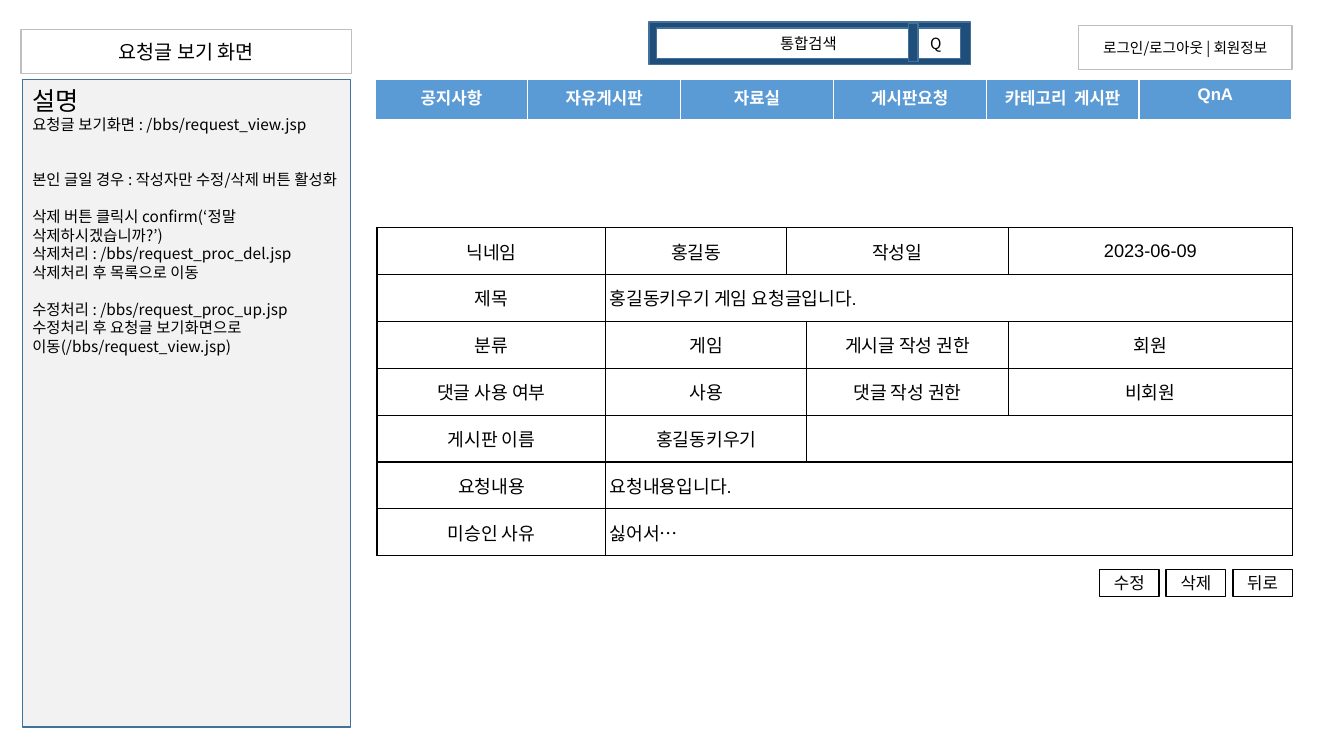
from lxml import etree
from pptx import Presentation
from pptx.dml.color import RGBColor
from pptx.enum.shapes import MSO_SHAPE
from pptx.enum.text import MSO_ANCHOR, MSO_AUTO_SIZE, PP_ALIGN
from pptx.oxml import parse_xml
from pptx.oxml.ns import nsdecls, qn
from pptx.util import Cm, Pt

THEME = {
    "white": "FFFFFF", "black": "000000", "gray": "BFBFBF", "panel": "F2F2F2",
    "navy": "1E4E79", "edge": "42719B", "nav": "5B9BD5",
    "sans": "Noto Sans CJK KR", "latin": "Arial",
    "heading": 18, "title": 14, "table": 13, "label": 12, "body": 11, "login": 10.5,
}


def write(paragraph, text, size, color="black", font="sans", align=PP_ALIGN.CENTER, bold=False):
    """Add one formatted run to a paragraph."""
    paragraph.alignment = align
    run = paragraph.add_run()
    run.text = text
    run.font.size = Pt(THEME[size])
    run.font.bold = bold
    run.font.color.rgb = RGBColor.from_string(THEME[color])
    run.font.name = THEME[font]
    east_asian = etree.SubElement(run.font._element, qn("a:ea"))
    east_asian.set("typeface", THEME["sans"])


def style(shape, fill, line):
    """Give a box its fill, its 1 pt outline and plain text settings."""
    shape.fill.solid()
    shape.fill.fore_color.rgb = RGBColor.from_string(THEME[fill])
    shape.line.color.rgb = RGBColor.from_string(THEME[line])
    shape.line.width = Pt(1)
    shape.shadow.inherit = False
    frame = shape.text_frame
    frame.word_wrap = True
    frame.auto_size = MSO_AUTO_SIZE.NONE
    frame.vertical_anchor = MSO_ANCHOR.MIDDLE


prs = Presentation()
prs.slide_width, prs.slide_height = Cm(33.87), Cm(19.05)
slide = prs.slides.add_slide(prs.slide_layouts[1])
shapes = slide.shapes

# Screen title and description panel
title, panel = slide.placeholders
title.left, title.top, title.width, title.height = Cm(0.53), Cm(0.74), Cm(8.33), Cm(1.12)
style(title, "white", "gray")
write(title.text_frame.paragraphs[0], "요청글 보기 화면", "title")

panel.left, panel.top, panel.width, panel.height = Cm(0.56), Cm(2.01), Cm(8.28), Cm(16.31)
style(panel, "panel", "edge")
panel.text_frame.vertical_anchor = MSO_ANCHOR.TOP
LINE_RATIO = 1.2
description = [  # text, size, lines of space before
    ("설명", "heading", 0),
    ("요청글 보기화면 : /bbs/request_view.jsp", "body", 0),
    ("본인 글일 경우 : 작성자만 수정/삭제 버튼 활성화", "body", 2),
    ("삭제 버튼 클릭시 confirm(‘정말 삭제하시겠습니까?’)", "body", 1),
    ("삭제처리 : /bbs/request_proc_del.jsp", "body", 0),
    ("삭제처리 후 목록으로 이동", "body", 0),
    ("수정처리 : /bbs/request_proc_up.jsp", "body", 1),
    ("수정처리 후 요청글 보기화면으로 이동(/bbs/request_view.jsp)", "body", 0),
]
for i, (text, size, gap) in enumerate(description):
    frame = panel.text_frame
    paragraph = frame.add_paragraph() if i else frame.paragraphs[0]
    write(paragraph, text, size, align=PP_ALIGN.LEFT)
    paragraph.line_spacing = Pt(THEME[size] * LINE_RATIO)
    paragraph.space_before = Pt(gap * THEME["body"] * LINE_RATIO)
    properties = paragraph._p.get_or_add_pPr()
    properties.set("marL", "0")
    properties.set("indent", "0")
    etree.SubElement(properties, qn("a:buNone"))

# Login box, search bar and buttons
search = shapes.add_group_shape().shapes
boxes = [  # container, left, top, width, height, fill, line, text, size
    (shapes, 27.18, 0.64, 5.38, 1.12, "white", "gray", "로그인/로그아웃 | 회원정보", "login"),
    (search, 16.36, 0.56, 8.1, 1.07, "navy", "edge", "", "body"),
    (search, 16.54, 0.71, 7.67, 0.76, "white", "edge", "통합검색", "body"),
    (search, 22.89, 0.58, 0.25, 0.97, "navy", "edge", "", "body"),
]
boxes += [(shapes, 27.71 + 1.68 * i, 14.35, 1.5, 0.69, "white", "black", text, "label")
          for i, text in enumerate(["수정", "삭제", "뒤로"])]
for container, left, top, width, height, fill, line, text, size in boxes:
    box = container.add_shape(MSO_SHAPE.RECTANGLE, Cm(left), Cm(top), Cm(width), Cm(height))
    style(box, fill, line)
    if text:
        write(box.text_frame.paragraphs[0], text, size)

search_icon = search.add_textbox(Cm(23.04), Cm(0.51), Cm(1.24), Cm(1.02)).text_frame
search_icon.word_wrap = True
search_icon.vertical_anchor = MSO_ANCHOR.MIDDLE
search_icon.margin_left, search_icon.margin_top = Cm(0.4), Cm(0.25)
write(search_icon.paragraphs[0], "Q", "body", align=PP_ALIGN.LEFT)

# Navigation and request tables
menu = ["공지사항", "자유게시판", "자료실", "게시판요청", "카테고리  게시판", "QnA"]
nav = shapes.add_table(1, len(menu), Cm(9.45), Cm(2.01), Cm(23.11), Cm(1.04)).table
for column, text in enumerate(menu):
    write(nav.cell(0, column).text_frame.paragraphs[0], text, "label", "white", "latin", bold=True)

request_rows = [  # each cell: text, columns spanned
    [("닉네임", 1), ("홍길동", 1), ("작성일", 2), ("2023-06-09", 1)],
    [("제목", 1), ("홍길동키우기 게임 요청글입니다.", 4)],
    [("분류", 1), ("게임", 2), ("게시글 작성 권한", 1), ("회원", 1)],
    [("댓글 사용 여부", 1), ("사용", 2), ("댓글 작성 권한", 1), ("비회원", 1)],
    [("게시판 이름", 1), ("홍길동키우기", 2), ("", 2)],
    [("요청내용", 1), ("요청내용입니다.", 4)],
    [("미승인 사유", 1), ("싫어서…", 4)],
]
column_widths = [5.77, 4.55, 0.51, 5.08, 7.16]
request = shapes.add_table(len(request_rows), len(column_widths), Cm(9.5), Cm(5.74),
                           Cm(sum(column_widths)), Cm(1.18 * len(request_rows))).table
for column, width in zip(request.columns, column_widths):
    column.width = Cm(width)
for row, cells in enumerate(request_rows):
    column = 0
    for text, span in cells:
        cell = request.cell(row, column)
        if span > 1:
            cell.merge(request.cell(row, column + span - 1))
        if text:
            align = PP_ALIGN.LEFT if span == 4 else PP_ALIGN.CENTER
            write(cell.text_frame.paragraphs[0], text, "table", font="latin", align=align)
        column += span

for table, border, bottom_width in [(nav, "white", 3), (request, "black", 1)]:
    table.first_row = table.horz_banding = False
    for cell in table.iter_cells():
        for side in ["L", "R", "T", "B"]:
            width = Pt(bottom_width if side == "B" else 1)
            cell._tc.get_or_add_tcPr().append(parse_xml(
                f'<a:ln{side} {nsdecls("a")} w="{width}"><a:solidFill>'
                f'<a:srgbClr val="{THEME[border]}"/></a:solidFill></a:ln{side}>'))
        if table is nav:
            cell.fill.solid()
            cell.fill.fore_color.rgb = RGBColor.from_string(THEME["nav"])
        else:
            cell.fill.background()
            cell.vertical_anchor = MSO_ANCHOR.MIDDLE
            cell.margin_left = cell.margin_right = Cm(0.1)
            cell.margin_top = cell.margin_bottom = Cm(0.05)

prs.save("out.pptx")
